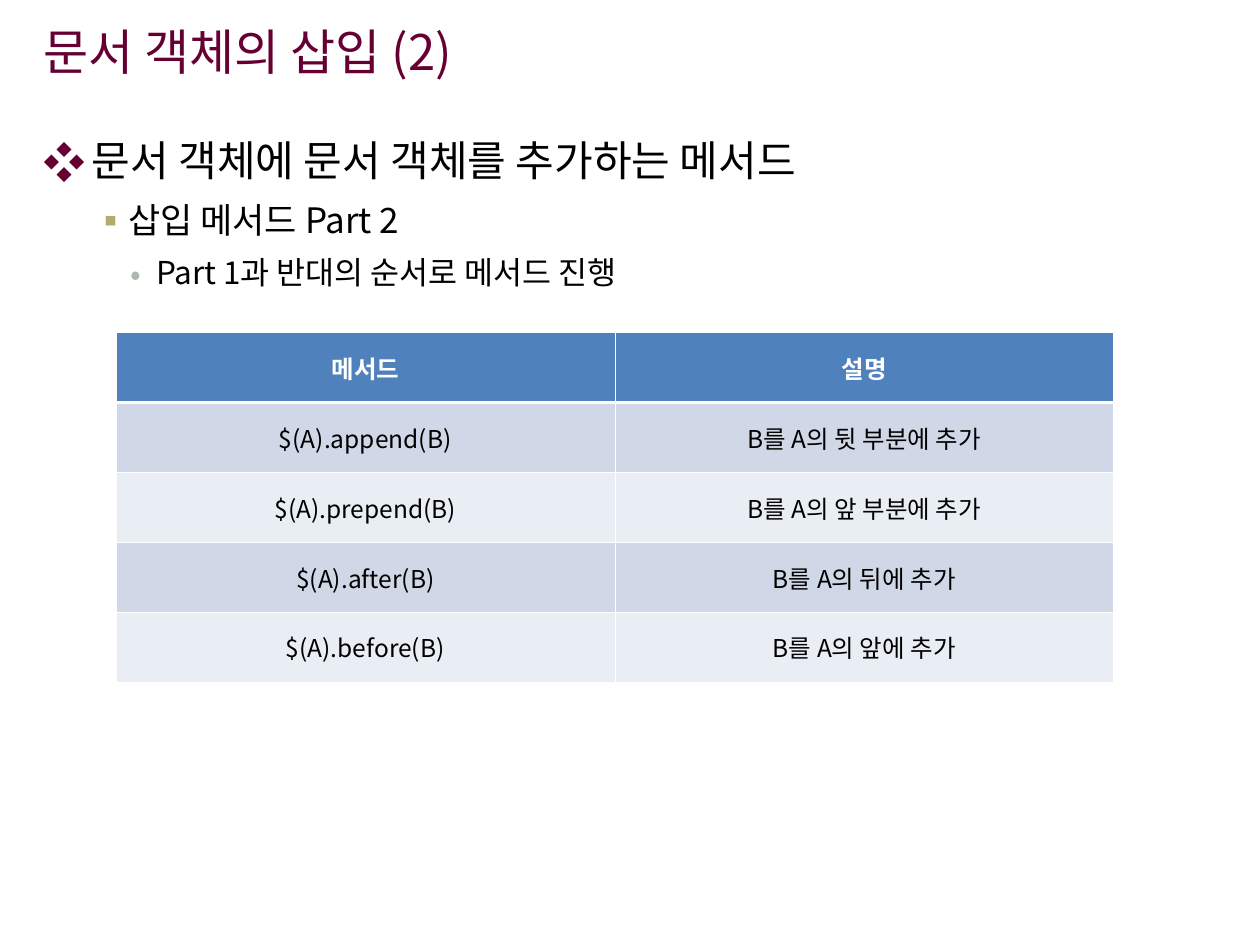
from lxml import etree
from pptx import Presentation
from pptx.dml.color import RGBColor
from pptx.enum.text import MSO_ANCHOR, PP_ALIGN
from pptx.oxml.ns import qn
from pptx.util import Inches, Pt

MIDDLE = MSO_ANCHOR.MIDDLE
CENTER = PP_ALIGN.CENTER

THEME = {
    "font": "Noto Sans CJK KR",
    "title": "660033",
    "ink": "000000",
    "white": "FFFFFF",
    "header": "4F81BD",
    "bands": ("D0D8E8", "E9EDF4"),
    "bullets": ("660033", "B1AE6B", "ADB9AD"),
    "title_size": 28,
    "outline_sizes": (24, 20, 18),
    "table_size": 14,
    "rule": 0.45,
    "header_rule": 1.47,
}

deck = Presentation()
deck.slide_width, deck.slide_height = Inches(10), Inches(7.5)
slide = deck.slides.add_slide(deck.slide_layouts[6])
COL = deck.slide_width / 40
ROW = deck.slide_height / 30


def area(left, top, width, height):
    return [round(n * unit) for n, unit in zip((left, top, width, height), (COL, ROW, COL, ROW))]


def write(paragraph, wording, size, color, bold=False):
    run = paragraph.add_run()
    run.text = wording
    run.font.color.rgb = RGBColor.from_string(color)
    for attribute, value in {"size": Pt(size), "bold": bold, "name": THEME["font"]}.items():
        setattr(run.font, attribute, value)
    etree.SubElement(run.font._element, qn("a:ea"), typeface=THEME["font"])


outline = slide.shapes.add_textbox(*area(1, 4.08, 38, 25)).text_frame
outline.word_wrap = True
outline_levels = (
    ("문서 객체에 문서 객체를 추가하는 메서드", "❖", 0.38, -0.38, {}),
    ("삽입 메서드 Part 2", "▪", 0.59, -0.2,
     {"line_spacing": 1.1, "space_before": Pt(5), "space_after": Pt(3)}),
    ("Part 1과 반대의 순서로 메서드 진행", "•", 0.89, -0.2,
     {"space_before": Pt(4.5), "space_after": Pt(3)}),
)
for level, (wording, mark, margin, indent, spacing) in enumerate(outline_levels):
    point = outline.add_paragraph() if level else outline.paragraphs[0]
    for attribute, value in {"level": level, **spacing}.items():
        setattr(point, attribute, value)
    properties = point._p.get_or_add_pPr()
    properties.set("marL", str(Inches(margin)))
    properties.set("indent", str(Inches(indent)))
    mark_color = etree.SubElement(properties, qn("a:buClr"))
    etree.SubElement(mark_color, qn("a:srgbClr"), val=THEME["bullets"][level])
    etree.SubElement(properties, qn("a:buFont"), typeface=THEME["font"])
    etree.SubElement(properties, qn("a:buChar"), char=mark)
    write(point, wording, THEME["outline_sizes"][level], THEME["ink"])

title = slide.shapes.add_textbox(*area(1, 0.36, 33.08, 2.52)).text_frame
for attribute, value in {"word_wrap": True, "vertical_anchor": MIDDLE}.items():
    setattr(title, attribute, value)
write(title.paragraphs[0], "문서 객체의 삽입 (2)", THEME["title_size"], THEME["title"])

methods = (
    ("메서드", "설명"),
    ("$(A).append(B)", "B를 A의 뒷 부분에 추가"),
    ("$(A).prepend(B)", "B를 A의 앞 부분에 추가"),
    ("$(A).after(B)", "B를 A의 뒤에 추가"),
    ("$(A).before(B)", "B를 A의 앞에 추가"),
)
method_table = slide.shapes.add_table(
    len(methods), len(methods[0]), *area(3.68, 10.56, 31.68, 2.22 * len(methods))
).table
for row, entries in enumerate(methods):
    heading = row == 0
    fill = THEME["header"] if heading else THEME["bands"][(row - 1) % 2]
    for column, wording in enumerate(entries):
        cell = method_table.cell(row, column)
        borders = cell._tc.get_or_add_tcPr()
        for side in "LRTB":
            under_header = (row, side) in ((0, "B"), (1, "T"))
            weight = THEME["header_rule" if under_header else "rule"]
            border = etree.SubElement(borders, qn(f"a:ln{side}"), w=str(Pt(weight)))
            paint = etree.SubElement(border, qn("a:solidFill"))
            etree.SubElement(paint, qn("a:srgbClr"), val=THEME["white"])
        cell.fill.solid()
        cell.fill.fore_color.rgb = RGBColor.from_string(fill)
        cell.vertical_anchor = MIDDLE
        entry = cell.text_frame.paragraphs[0]
        entry.alignment = CENTER
        write(entry, wording, THEME["table_size"], THEME["white" if heading else "ink"], heading)

deck.save("out.pptx")
